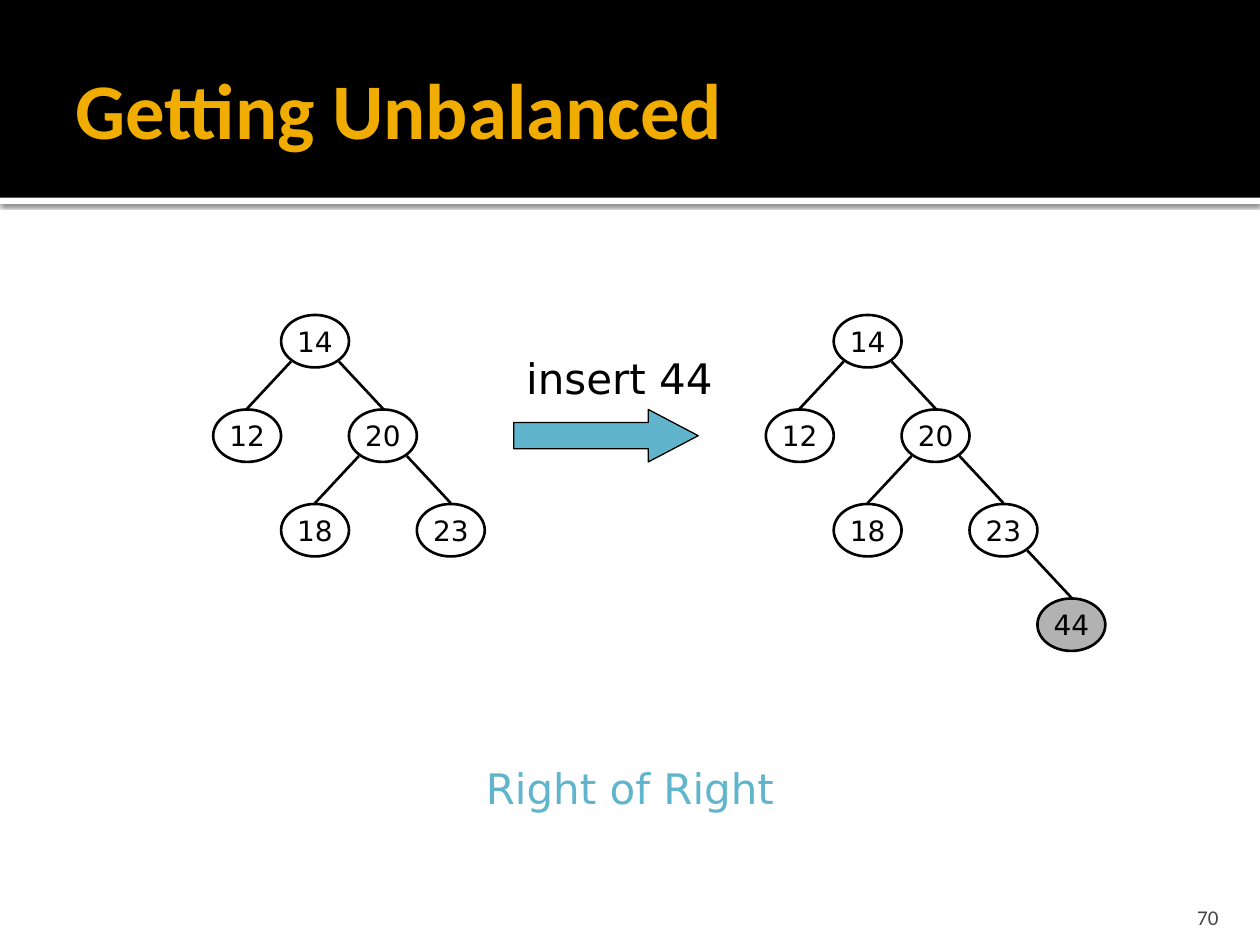
from lxml import etree
from pptx import Presentation
from pptx.dml.color import RGBColor
from pptx.enum.shapes import MSO_CONNECTOR, MSO_SHAPE
from pptx.enum.text import MSO_ANCHOR, PP_ALIGN
from pptx.oxml import parse_xml
from pptx.oxml.ns import nsdecls, qn
from pptx.util import Pt

RECTANGLE, OVAL, ARROW = MSO_SHAPE.RECTANGLE, MSO_SHAPE.OVAL, MSO_SHAPE.RIGHT_ARROW
STRAIGHT = MSO_CONNECTOR.STRAIGHT
TOP, MIDDLE, BOTTOM = MSO_ANCHOR.TOP, MSO_ANCHOR.MIDDLE, MSO_ANCHOR.BOTTOM
LEFT, CENTER, RIGHT = PP_ALIGN.LEFT, PP_ALIGN.CENTER, PP_ALIGN.RIGHT

BLACK, WHITE, GOLD, TEAL = "000000", "FFFFFF", "F0AD00", "60B5CC"
GRAY, DARK_GRAY = "B2B2B2", "454545"
HEAD_FONT, BODY_FONT = "Calibri", "DejaVu Sans"


def color(value):
    return RGBColor.from_string(value)


class TreeSlide:
    node_width, node_height = 38.8, 30
    column_step, row_step = 38.8, 54
    root_top = 180

    def __init__(self, page):
        self.page = page

    def set_text(self, frame, text, size, font=BODY_FONT, ink=BLACK, align=LEFT,
                 anchor=TOP, bold=False, wrap=True, insets=(7.2, 3.6, 7.2, 3.6)):
        frame.word_wrap = wrap
        frame.vertical_anchor = anchor
        (frame.margin_left, frame.margin_top,
         frame.margin_right, frame.margin_bottom) = map(Pt, insets)
        para = frame.paragraphs[0]
        para.text = text
        para.alignment = align
        para.font.name = font
        para.font.size = Pt(size)
        para.font.bold = bold
        para.font.color.rgb = color(ink)

    def text(self, left, top, width, height, text, size, **style):
        box = self.page.shapes.add_textbox(Pt(left), Pt(top), Pt(width), Pt(height))
        self.set_text(box.text_frame, text, size, **style)

    def shape(self, kind, left, top, width, height, fill=None, line_width=0):
        shape = self.page.shapes.add_shape(
            kind, Pt(left), Pt(top), Pt(width), Pt(height))
        shape.shadow.inherit = False
        if fill:
            shape.fill.solid()
            shape.fill.fore_color.rgb = color(fill)
        else:
            shape.fill.background()
        if line_width:
            shape.line.color.rgb = color(BLACK)
            shape.line.width = Pt(line_width)
        else:
            shape.line.fill.background()
        return shape

    def drop_shadow(self, shape, blur, distance, opacity):
        effects = shape._element.spPr.find(qn("a:effectLst"))
        effects.append(parse_xml(
            f'<a:outerShdw {nsdecls("a")} blurRad="{Pt(blur)}" dist="{Pt(distance)}" '
            f'dir="5400000" algn="tl" rotWithShape="0"><a:srgbClr val="{BLACK}">'
            f'<a:alpha val="{opacity * 1000}"/></a:srgbClr></a:outerShdw>'))

    def edge(self, start_x, start_y, end_x, end_y):
        line = self.page.shapes.add_connector(
            STRAIGHT, Pt(start_x), Pt(start_y), Pt(end_x), Pt(end_y))
        line.line.color.rgb = color(BLACK)
        line.line.width = Pt(1.5)
        etree.SubElement(line._element.spPr, qn("a:effectLst"))

    def node(self, center, top, key, fill):
        oval = self.shape(OVAL, center - self.node_width / 2, top,
                          self.node_width, self.node_height, fill, 1.5)
        self.set_text(oval.text_frame, str(key), 16, align=CENTER,
                      anchor=MIDDLE, wrap=False)

    def tree(self, root_center, branch, level=0, marked=None):
        """Draw a branch given as (key, left branch, right branch)."""
        key, *children = branch
        top = self.root_top + level * self.row_step
        self.node(root_center, top, key, GRAY if key == marked else None)
        for side, child in zip((-1, 1), children):
            if child:
                child_center = root_center + side * self.column_step
                self.edge(root_center + side * 13.7, top + 26.6,
                          child_center, top + self.row_step - 0.5)
                self.tree(child_center, child, level + 1, marked)


def main():
    deck = Presentation()
    deck.slide_width, deck.slide_height = Pt(720), Pt(540)
    slide = TreeSlide(deck.slides.add_slide(deck.slide_layouts[6]))

    # Title band and page number
    divider = slide.shape(RECTANGLE, 0, 113, 720, 3.6, WHITE)
    slide.drop_shadow(divider, 2.5, 0.8, 60)
    slide.shape(RECTANGLE, 0, 0, 720, 113, BLACK)
    slide.text(36, 12.2, 648, 98.6, "Getting Unbalanced", 45, font=HEAD_FONT,
               ink=GOLD, bold=True, anchor=MIDDLE, insets=(7.2, 3.6, 3.6, 3.6))
    slide.text(645.8, 509.8, 57.6, 21.6, "70", 12, font=HEAD_FONT, ink=DARK_GRAY,
               align=RIGHT, anchor=BOTTOM, insets=(7.2, 3.6, 7.2, 0))

    # Trees before and after the insertion
    def search_tree(inserted=None):
        return (14, (12,), (20, (18,), (23, None, inserted)))

    slide.tree(180, search_tree())
    slide.tree(495.8, search_tree((44,)), marked=44)

    # Insertion step
    arrow = slide.shape(ARROW, 293.6, 234, 105.4, 30, TEAL, 0.75)
    arrow.adjustments[0], arrow.adjustments[1] = 0.5, 0.95
    slide.text(293.6, 198, 127.4, 36, "insert 44", 24)

    # Name of the case
    slide.text(0, 432, 720, 36.4, "Right of Right", 24, ink=TEAL, align=CENTER)

    deck.save("out.pptx")


if __name__ == "__main__":
    main()
